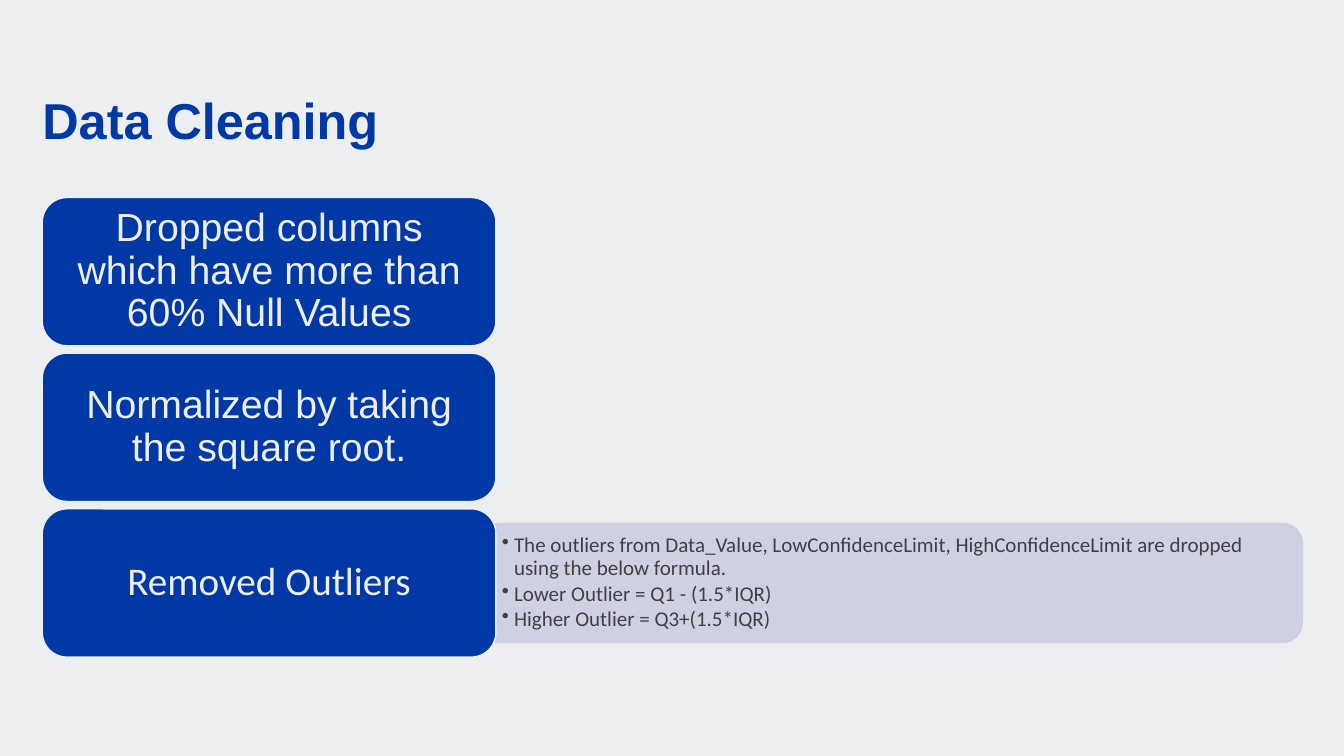
from lxml import etree
from pptx import Presentation
from pptx.dml.color import RGBColor
from pptx.enum.shapes import MSO_SHAPE
from pptx.enum.text import MSO_ANCHOR, MSO_AUTO_SIZE, PP_ALIGN
from pptx.oxml.ns import qn
from pptx.util import Pt

CARD_SHAPE = MSO_SHAPE.ROUNDED_RECTANGLE
PANEL_SHAPE = MSO_SHAPE.ROUND_2_SAME_RECTANGLE
MIDDLE, BOTTOM = MSO_ANCHOR.MIDDLE, MSO_ANCHOR.BOTTOM
LEFT, CENTER = PP_ALIGN.LEFT, PP_ALIGN.CENTER
NO_AUTOFIT = MSO_AUTO_SIZE.NONE

COLORS = {"blue": "0039A6", "pale": "EDEEEF", "lavender": "CCCEE1", "gray": "404041"}

MARGIN = 30.24
CARD_WIDTH, CARD_HEIGHT = 324, 105.9
CARD_TOP, CARD_STEP = 141.1, 111.2
PANEL_LEFT, PANEL_WIDTH, PANEL_HEIGHT = MARGIN + CARD_WIDTH, 576, 85

STEPS = [
    ("Dropped columns which have more than 60% Null Values", "Arial"),
    ("Normalized by taking the square root.", "Arial"),
    ("Removed Outliers", "Calibri"),
]
OUTLIER_RULES = [
    "The outliers from Data_Value, LowConfidenceLimit, HighConfidenceLimit "
    "are dropped using the below formula.",
    "Lower Outlier = Q1 - (1.5*IQR)",
    "Higher Outlier = Q3+(1.5*IQR)",
]


def color(name):
    return RGBColor.from_string(COLORS[name])


def set_frame(frame, anchor, side, edge):
    formats = {
        "word_wrap": True, "auto_size": NO_AUTOFIT, "vertical_anchor": anchor,
        "margin_left": Pt(side), "margin_right": Pt(side),
        "margin_top": Pt(edge), "margin_bottom": Pt(edge),
    }
    for name, value in formats.items():
        setattr(frame, name, value)


def write(para, text, align, ink, **font):
    para.alignment = align
    para.line_spacing = 0.9
    span = para.add_run()
    span.text = text
    span.font.color.rgb = color(ink)
    for name, value in font.items():
        setattr(span.font, name, value)


def add_bullet(para):
    properties = para._p.get_or_add_pPr()
    properties.set("marL", str(Pt(8.64)))
    properties.set("indent", str(-Pt(8.64)))
    etree.SubElement(properties, qn("a:buChar")).set("char", "•")


def add_box(page, kind, frame, fill, line):
    box = page.shapes.add_shape(kind, *map(Pt, frame))
    box.shadow.inherit = False
    box.fill.solid()
    box.fill.fore_color.rgb = color(fill)
    box.line.color.rgb = color(line)
    box.line.width = Pt(1)
    return box


def add_title(page, text):
    title = page.shapes.title
    title.left, title.top, title.width, title.height = map(Pt, (MARGIN, 67.7, 900, 39.6))
    set_frame(title.text_frame, BOTTOM, 0, 0)
    write(title.text_frame.paragraphs[0], text, LEFT, "blue",
          name="Arial", size=Pt(36), bold=True)


def add_card(page, top, text, font_name):
    card = add_box(page, CARD_SHAPE, (MARGIN, top, CARD_WIDTH, CARD_HEIGHT), "blue", "pale")
    set_frame(card.text_frame, MIDDLE, 13.7, 9.4)
    write(card.text_frame.paragraphs[0], text, CENTER, "pale",
          name=font_name, size=Pt(28))


def add_panel(page, middle, rules):
    """Add a panel, turned so that its round corners face right, and its bullets."""
    left = PANEL_LEFT + (PANEL_WIDTH - PANEL_HEIGHT) / 2
    panel = add_box(page, PANEL_SHAPE,
                    (left, middle - PANEL_WIDTH / 2, PANEL_HEIGHT, PANEL_WIDTH),
                    "lavender", "lavender")
    panel.rotation = 90
    for tint in panel._element.spPr.iter(qn("a:srgbClr")):
        etree.SubElement(tint, qn("a:alpha")).set("val", "90000")

    box = page.shapes.add_textbox(Pt(PANEL_LEFT), Pt(middle - 38.2), Pt(571.7), Pt(76.4))
    frame = box.text_frame
    set_frame(frame, MIDDLE, 4.3, 2.2)
    for index, rule in enumerate(rules):
        para = frame.add_paragraph() if index else frame.paragraphs[0]
        add_bullet(para)
        para.space_after = Pt(2)
        write(para, rule, LEFT, "gray", name="Calibri", size=Pt(15))


def main():
    deck = Presentation()
    deck.slide_width, deck.slide_height = Pt(960), Pt(540)
    page = deck.slides.add_slide(deck.slide_layouts.get_by_name("Title Only"))
    page.background.fill.solid()
    page.background.fill.fore_color.rgb = color("pale")

    add_title(page, "Data Cleaning")
    last_top = CARD_TOP + (len(STEPS) - 1) * CARD_STEP
    add_panel(page, last_top + CARD_HEIGHT / 2, OUTLIER_RULES)
    for index, (text, font_name) in enumerate(STEPS):
        add_card(page, CARD_TOP + index * CARD_STEP, text, font_name)
    deck.save("out.pptx")


if __name__ == "__main__":
    main()
